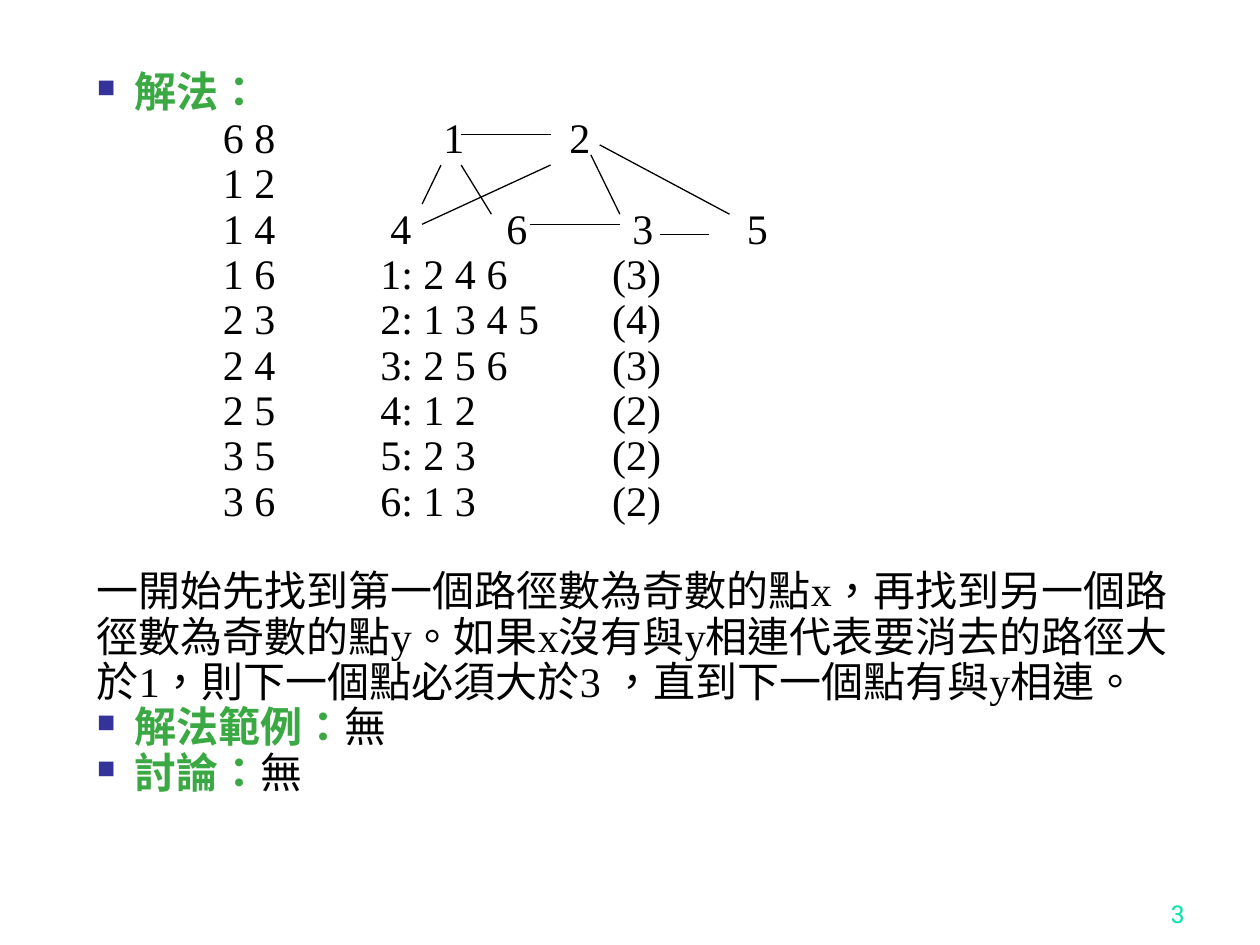
"""Build the slide on solving the path problem, with its graph and notes."""
from dataclasses import dataclass

from lxml import etree
from pptx import Presentation
from pptx.dml.color import RGBColor
from pptx.enum import lang, shapes, text
from pptx.oxml.ns import qn
from pptx.util import Inches, Pt

HUES = {"ink": "000000", "head": "3BA943", "mark": "333399", "page": "00E4A8"}
SANS, SERIF = "Noto Sans CJK SC", "Times New Roman"


@dataclass
class Row:
    cells: str
    stops: tuple = (1, 2.25, 4.09)


@dataclass
class Edge:
    x1: float
    y1: float
    x2: float
    y2: float


ROWS = [
    Row("6 8|1|2", (1, 2.75, 3.75)),
    Row("1 2"),
    Row("1 4|4|6|3|5", (1, 2.33, 3.25, 4.25, 5.16)),
    Row("1 6|1: 2 4 6|(3)"),
    Row("2 3|2: 1 3 4 5|(4)"),
    Row("2 4|3: 2 5 6|(3)"),
    Row("2 5|4: 1 2|(2)"),
    Row("3 5|5: 2 3|(2)"),
    Row("3 6|6: 1 3|(2)"),
]
EDGES = [
    Edge(3.66, 1.07, 4.37, 1.07),
    Edge(3.5, 1.31, 3.35, 1.62),
    Edge(3.66, 1.31, 3.9, 1.7),
    Edge(4.69, 1.23, 4.92, 1.7),
    Edge(3.35, 1.78, 4.37, 1.31),
    Edge(4.76, 1.15, 5.79, 1.7),
    Edge(5.24, 1.86, 5.63, 1.86),
    Edge(4.21, 1.78, 4.92, 1.78),
]
NOTE = ("一開始先找到第一個路徑數為奇數的點x，再找到另一個路徑數為奇數的點y。"
        "如果x沒有與y相連代表要消去的路徑大於1，則下一個點必須大於3 ，"
        "直到下一個點有與y相連。")


def add(node, tag: str, **attrs):
    return etree.SubElement(node, qn(tag), attrs)


def style(run, face: str, hue: str, size: int = 24, bold: bool = False) -> None:
    font = run.font
    font.size, font.bold, font.name = Pt(size), bold, face
    font.color.rgb = RGBColor.from_string(HUES[hue])
    font.language_id = lang.MSO_LANGUAGE_ID.TRADITIONAL_CHINESE
    add(run._r.get_or_add_rPr(), "a:ea", typeface=SANS)


def put_box(slide, x: float, y: float, w: float, h: float):
    frame = slide.shapes.add_textbox(
        Inches(x), Inches(y), Inches(w), Inches(h)).text_frame
    frame.word_wrap = True
    return frame


def put_head(para, title: str, body: str = "") -> None:
    props = para._p.get_or_add_pPr()
    props.set("marL", str(Inches(0.3)))
    props.set("indent", str(-Inches(0.3)))
    add(add(props, "a:buClr"), "a:srgbClr", val=HUES["mark"])
    add(props, "a:buSzPct", val="60000")
    add(props, "a:buChar", char="■")
    para.line_spacing = 0.9
    run = para.add_run()
    run.text = title
    style(run, SANS, "head", bold=True)
    if body:
        run = para.add_run()
        run.text = body
        style(run, SANS, "ink")


def put_row(para, row: Row) -> None:
    tabs = add(para._p.get_or_add_pPr(), "a:tabLst")
    for stop in row.stops:
        add(tabs, "a:tab", pos=str(Inches(stop)), algn="l")
    para.line_spacing = 0.9
    run = para.add_run()
    run.text = "\t" + row.cells.replace("|", "\t")
    style(run, SERIF, "ink")


def put_edge(slide, edge: Edge) -> None:
    line = slide.shapes.add_connector(
        shapes.MSO_CONNECTOR.STRAIGHT, Inches(edge.x1), Inches(edge.y1),
        Inches(edge.x2), Inches(edge.y2))
    line.line.color.rgb = RGBColor.from_string(HUES["ink"])
    line.line.width = Pt(0.75)
    add(line._element.spPr, "a:effectLst")


def main() -> None:
    deck = Presentation()
    deck.slide_width, deck.slide_height = Inches(10), Inches(7.5)
    slide = deck.slides.add_slide(deck.slide_layouts[6])

    page = put_box(slide, 7.42, 6.92, 2.08, 0.5)
    page.vertical_anchor = text.MSO_ANCHOR.BOTTOM
    page.text = "3"
    page.paragraphs[0].alignment = text.PP_ALIGN.RIGHT
    style(page.paragraphs[0].runs[0], "Roboto", "page", 14)

    body = put_box(slide, 0.67, 0.52, 8.98, 5.86)
    put_head(body.paragraphs[0], "解法：")
    for row in ROWS:
        put_row(body.add_paragraph(), row)
    note = body.add_paragraph()
    note.text = NOTE
    note.line_spacing, note.space_before = 0.9, Pt(26)
    style(note.runs[0], SERIF, "ink")
    for title in ("解法範例：", "討論："):
        put_head(body.add_paragraph(), title, "無")

    for edge in EDGES:
        put_edge(slide, edge)
    deck.save("out.pptx")


if __name__ == "__main__":
    main()
